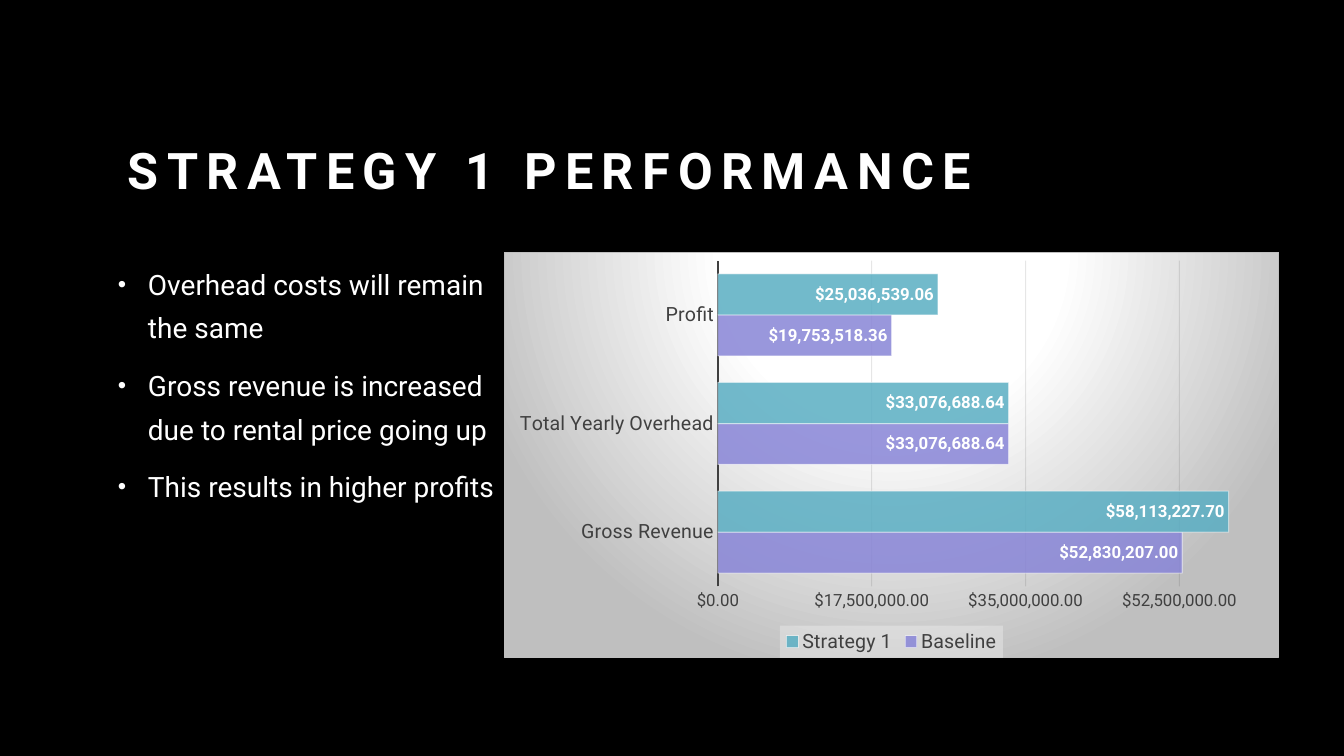
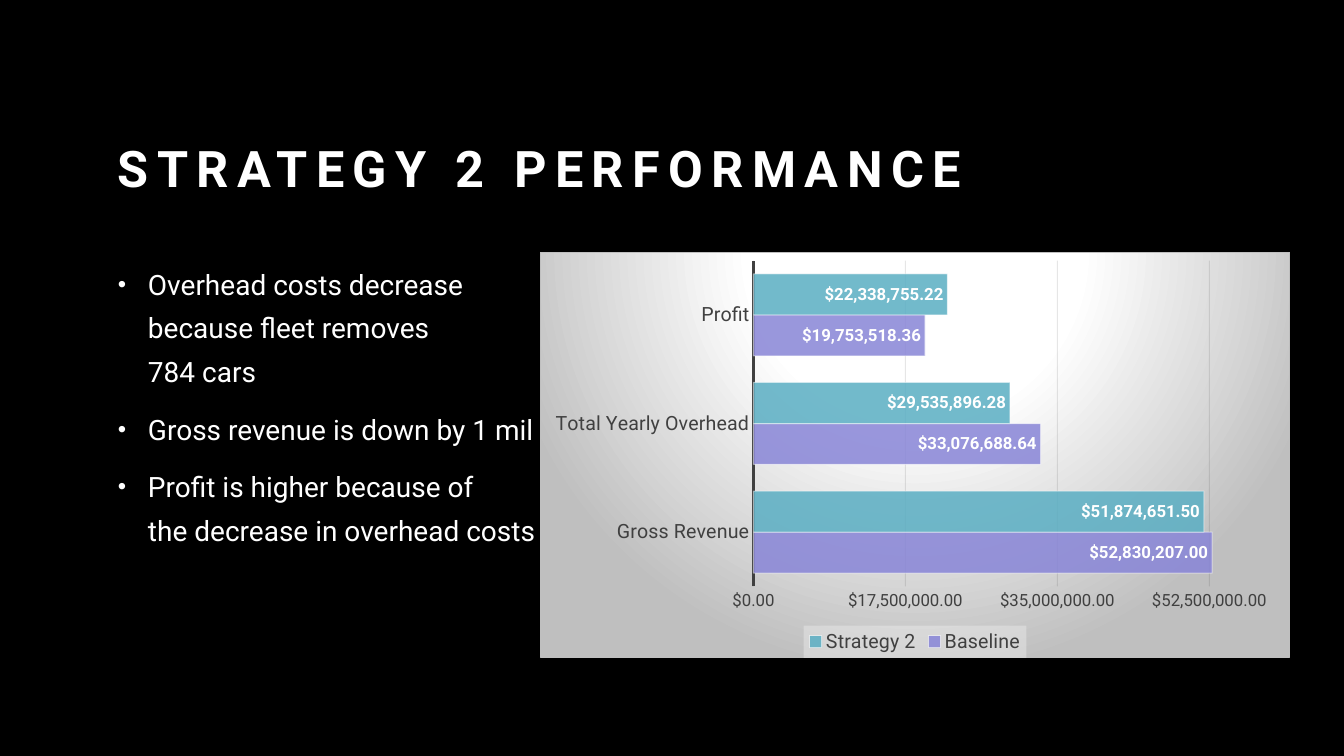
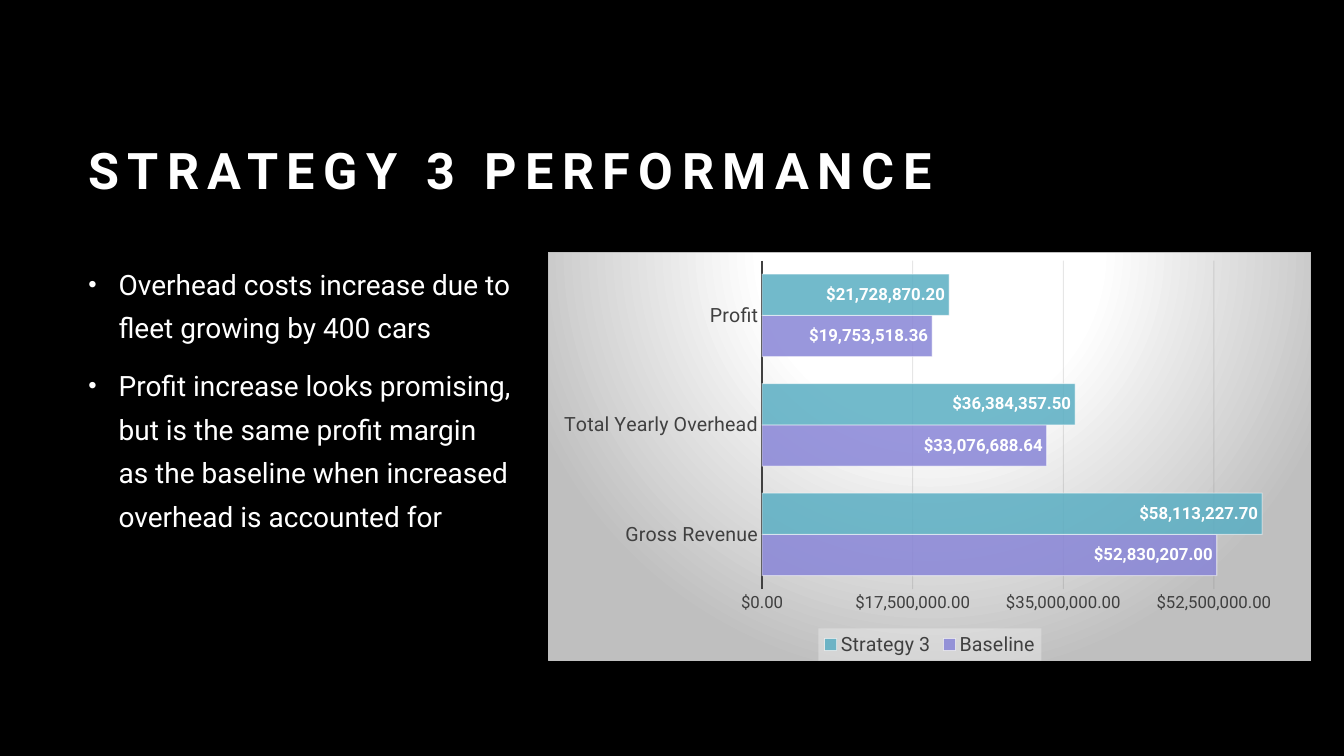
import dataclasses

import lxml.etree
import pptx
import pptx.chart.data
import pptx.dml.color
import pptx.enum.chart
import pptx.enum.text
import pptx.oxml
import pptx.oxml.ns
import pptx.util
from pptx.util import Cm, Pt

BLACK = pptx.dml.color.RGBColor(0x00, 0x00, 0x00)
WHITE = pptx.dml.color.RGBColor(0xFF, 0xFF, 0xFF)
DARK_GRAY = pptx.dml.color.RGBColor(0x40, 0x40, 0x40)
GRID_GRAY = pptx.dml.color.RGBColor(0x0D, 0x0D, 0x0D)
SILVER = pptx.dml.color.RGBColor(0xBF, 0xBF, 0xBF)
PALE_GRAY = pptx.dml.color.RGBColor(0xF2, 0xF2, 0xF2)
PURPLE = pptx.dml.color.RGBColor(0x88, 0x85, 0xD7)
TEAL = pptx.dml.color.RGBColor(0x5A, 0xAE, 0xC3)

FONT = "Roboto"
MONEY = '"$"#,##0.00'
CATEGORIES = ("Gross Revenue", "Total Yearly Overhead", "Profit")
BASELINE = (52830207, 33076688.64, 19753518.36)

TITLE_RIGHT = Cm(29.64)
TITLE_HEIGHT = Cm(2.39)
CONTENT_TOP = Cm(6.35)
BODY_RIGHT = Cm(28.37)
BODY_HEIGHT = Cm(10.59)
BULLET_INDENT = Cm(0.76)

NAMESPACES = pptx.oxml.ns.nsdecls("c", "a")
CHART_AREA = f"""<c:spPr {NAMESPACES}>
  <a:gradFill><a:gsLst>
    <a:gs pos="0"><a:srgbClr val="{WHITE}"/></a:gs>
    <a:gs pos="39000"><a:srgbClr val="{WHITE}"/></a:gs>
    <a:gs pos="100000"><a:srgbClr val="{SILVER}"/></a:gs>
  </a:gsLst><a:path path="circle">
    <a:fillToRect l="50000" t="-80000" r="50000" b="180000"/>
  </a:path></a:gradFill>
  <a:ln w="9525"><a:solidFill><a:srgbClr val="{SILVER}"/></a:solidFill></a:ln>
</c:spPr>"""
LEGEND_AREA = f"""<c:spPr {NAMESPACES}><a:solidFill>
  <a:srgbClr val="{PALE_GRAY}"><a:alpha val="39000"/></a:srgbClr>
</a:solidFill></c:spPr>"""


@dataclasses.dataclass(frozen=True)
class Strategy:
    number: int
    title_left: pptx.util.Length
    title_top: pptx.util.Length
    body_left: pptx.util.Length
    chart_left: pptx.util.Length
    chart_width: pptx.util.Length
    chart_height: pptx.util.Length
    axis_maximum: int
    values: tuple[float, ...]
    bullets: tuple[tuple[str, ...], ...]


STRATEGIES = (
    Strategy(
        1, Cm(2.97), Cm(2.77), Cm(2.72), Cm(12.7), Cm(19.53), Cm(10.24), 62000000,
        (58113227.7, 33076688.64, 25036539.06),
        (
            ("Overhead costs will remain", "the same"),
            ("Gross revenue is increased", "due to rental price going up"),
            ("This results in higher profits",),
        ),
    ),
    Strategy(
        2, Cm(2.72), Cm(2.72), Cm(2.72), Cm(13.61), Cm(18.9), Cm(10.24), 60000000,
        (51874651.5, 29535896.28, 22338755.22),
        (
            ("Overhead costs decrease", "because fleet removes", "784 cars"),
            ("Gross revenue is down by 1 mil",),
            ("Profit is higher because of", "the decrease in overhead costs"),
        ),
    ),
    Strategy(
        3, Cm(1.98), Cm(2.77), Cm(1.98), Cm(13.82), Cm(19.23), Cm(10.31), 62000000,
        (58113227.7, 36384357.5, 21728870.2),
        (
            ("Overhead costs increase due to", "fleet growing by 400 cars"),
            (
                "Profit increase looks promising,",
                "but is the same profit margin",
                "as the baseline when increased",
                "overhead is accounted for",
            ),
        ),
    ),
)


def style_font(font, size: float, color: pptx.dml.color.RGBColor, bold: bool = False) -> None:
    font.name = FONT
    font.size = Pt(size)
    font.bold = bold
    font.color.rgb = color


def set_opacity(element, color_xpath: str, percent: int) -> None:
    for color in element.xpath(color_xpath):
        alpha = lxml.etree.SubElement(color, pptx.oxml.ns.qn("a:alpha"))
        alpha.set("val", str(percent * 1000))


def add_title(slide, strategy: Strategy) -> None:
    shape = slide.shapes.add_textbox(
        strategy.title_left, strategy.title_top, TITLE_RIGHT - strategy.title_left, TITLE_HEIGHT
    )
    shape.text_frame.word_wrap = True
    shape.text_frame.vertical_anchor = pptx.enum.text.MSO_ANCHOR.BOTTOM
    paragraph = shape.text_frame.paragraphs[0]
    paragraph.line_spacing = 1.2
    run = paragraph.add_run()
    run.text = f"STRATEGY {strategy.number} PERFORMANCE"
    style_font(run.font, 36, WHITE, bold=True)
    run.font._element.set("spc", "600")


def add_bullet(paragraph) -> None:
    properties = paragraph._p.get_or_add_pPr()
    properties.set("marL", str(BULLET_INDENT))
    properties.set("indent", str(-BULLET_INDENT))
    for tag, attribute, value in (
        ("a:buSzPct", "val", "85000"),
        ("a:buFont", "typeface", "Arial"),
        ("a:buChar", "char", "•"),
    ):
        lxml.etree.SubElement(properties, pptx.oxml.ns.qn(tag)).set(attribute, value)


def add_body(slide, strategy: Strategy) -> None:
    shape = slide.shapes.add_textbox(
        strategy.body_left, CONTENT_TOP, BODY_RIGHT - strategy.body_left, BODY_HEIGHT
    )
    text_frame = shape.text_frame
    text_frame.word_wrap = True
    for bullet_index, lines in enumerate(strategy.bullets):
        paragraph = text_frame.add_paragraph() if bullet_index else text_frame.paragraphs[0]
        add_bullet(paragraph)
        paragraph.line_spacing = 1.3
        paragraph.space_before = Pt(10 if bullet_index else 0)
        for line_index, line in enumerate(lines):
            if line_index:
                paragraph.add_line_break()
            run = paragraph.add_run()
            run.text = line
            style_font(run.font, 20, WHITE)


def style_series(series, color: pptx.dml.color.RGBColor) -> None:
    series.format.fill.solid()
    series.format.fill.fore_color.rgb = color
    series.format.line.color.rgb = WHITE
    series.format.line.width = Pt(0.75)
    series.invert_if_negative = False
    set_opacity(series._element, "c:spPr/a:solidFill/a:srgbClr", 85)
    set_opacity(series._element, "c:spPr/a:ln/a:solidFill/a:srgbClr", 50)
    labels = series.data_labels
    labels.show_value = True
    labels.position = pptx.enum.chart.XL_LABEL_POSITION.INSIDE_END
    labels.number_format = MONEY
    labels.number_format_is_linked = False
    style_font(labels.font, 12, WHITE, bold=True)


def style_axes(chart, maximum: int) -> None:
    for axis, size in ((chart.category_axis, 14), (chart.value_axis, 12)):
        axis.major_tick_mark = pptx.enum.chart.XL_TICK_MARK.NONE
        axis.minor_tick_mark = pptx.enum.chart.XL_TICK_MARK.NONE
        style_font(axis.tick_labels.font, size, DARK_GRAY)
    chart.category_axis.format.line.color.rgb = DARK_GRAY
    chart.category_axis.format.line.width = Pt(1.5)

    value_axis = chart.value_axis
    value_axis.format.line.fill.background()
    value_axis.minimum_scale = 0
    value_axis.maximum_scale = maximum
    value_axis.major_unit = 17500000
    value_axis.tick_labels.number_format = MONEY
    value_axis.tick_labels.number_format_is_linked = False
    value_axis.has_major_gridlines = True
    value_axis.major_gridlines.format.line.color.rgb = GRID_GRAY
    value_axis.major_gridlines.format.line.width = Pt(0.75)
    set_opacity(value_axis._element, "c:majorGridlines//a:srgbClr", 10)


def style_legend(chart) -> None:
    chart.has_legend = True
    legend = chart.legend
    legend.position = pptx.enum.chart.XL_LEGEND_POSITION.BOTTOM
    legend.include_in_layout = False
    style_font(legend.font, 14, DARK_GRAY)
    text_properties = legend._element.find(pptx.oxml.ns.qn("c:txPr"))
    text_properties.addprevious(pptx.oxml.parse_xml(LEGEND_AREA))


def add_performance_chart(slide, strategy: Strategy) -> None:
    data = pptx.chart.data.CategoryChartData(number_format=MONEY)
    data.categories = CATEGORIES
    data.add_series("Baseline", BASELINE)
    data.add_series(f"Strategy {strategy.number}", strategy.values)
    chart = slide.shapes.add_chart(
        pptx.enum.chart.XL_CHART_TYPE.BAR_CLUSTERED,
        strategy.chart_left,
        CONTENT_TOP,
        strategy.chart_width,
        strategy.chart_height,
        data,
    ).chart
    chart.has_title = False
    style_font(chart.font, 10, WHITE)
    plot = chart.plots[0]
    plot.gap_width = 65
    plot.overlap = 0
    plot.vary_by_categories = False
    for series, color in zip(plot.series, (PURPLE, TEAL)):
        style_series(series, color)
    style_axes(chart, strategy.axis_maximum)
    style_legend(chart)
    chart_element = chart.element.find(pptx.oxml.ns.qn("c:chart"))
    chart_element.addnext(pptx.oxml.parse_xml(CHART_AREA))


def main() -> None:
    presentation = pptx.Presentation()
    presentation.slide_width = Cm(33.87)
    presentation.slide_height = Cm(19.05)
    background = presentation.slide_master.background.fill
    background.solid()
    background.fore_color.rgb = BLACK
    for strategy in STRATEGIES:
        slide = presentation.slides.add_slide(presentation.slide_layouts[6])
        add_title(slide, strategy)
        add_body(slide, strategy)
        add_performance_chart(slide, strategy)
    presentation.save("out.pptx")


if __name__ == "__main__":
    main()
